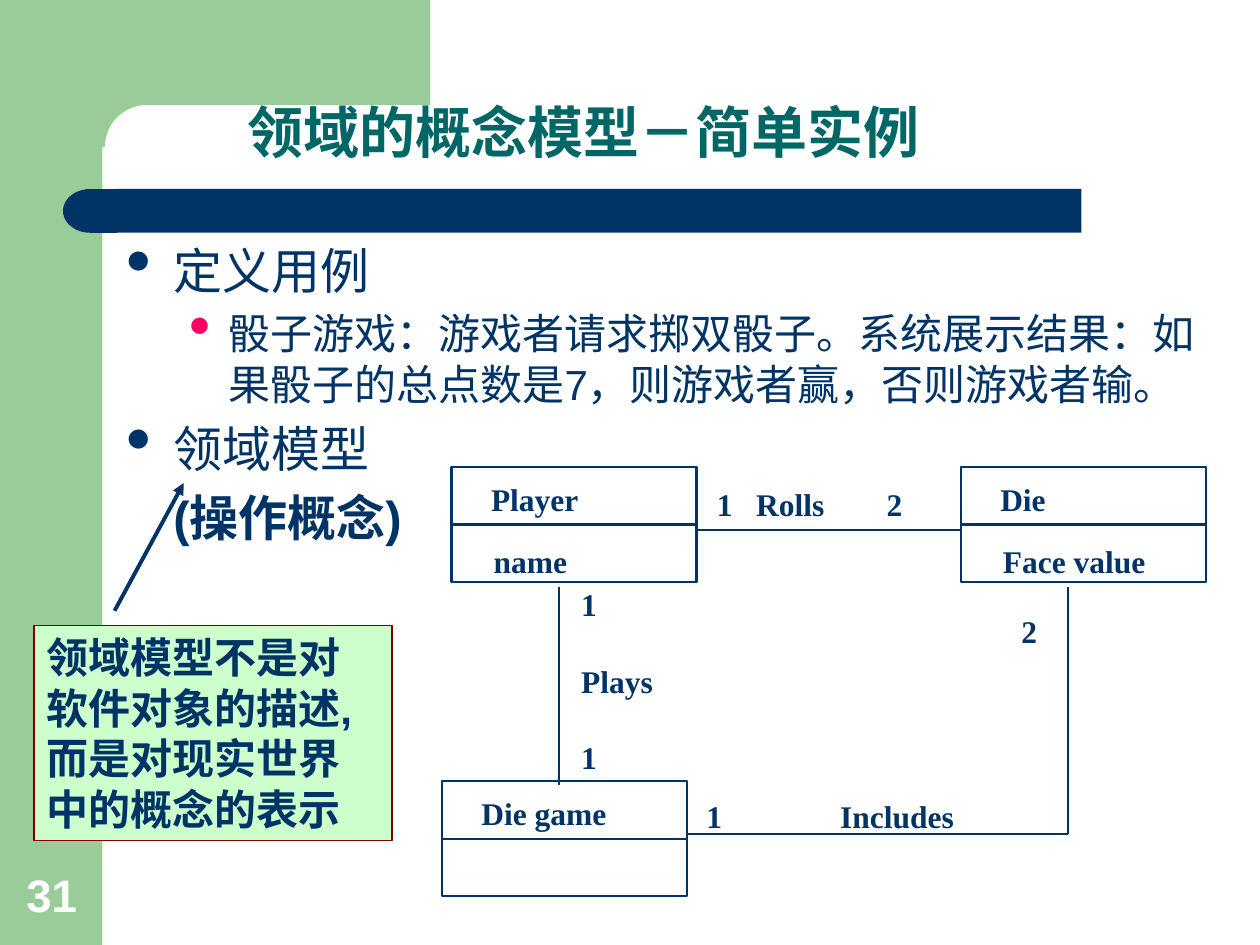
from dataclasses import dataclass

from lxml import etree
from pptx import Presentation
from pptx.dml.color import RGBColor
from pptx.enum.shapes import MSO_CONNECTOR, MSO_SHAPE
from pptx.enum.text import MSO_ANCHOR
from pptx.oxml.ns import qn
from pptx.util import Pt

STRAIGHT = MSO_CONNECTOR.STRAIGHT
RECT, ROUNDED, DELAY = (MSO_SHAPE.RECTANGLE, MSO_SHAPE.ROUNDED_RECTANGLE,
                        MSO_SHAPE.FLOWCHART_DELAY)
TOP, BOTTOM = MSO_ANCHOR.TOP, MSO_ANCHOR.BOTTOM
LEFT_SIDE, RIGHT_SIDE = 1, 3


@dataclass(frozen=True)
class Theme:
    green: str = "99CC99"
    white: str = "FFFFFF"
    navy: str = "003366"
    teal: str = "006666"
    pink: str = "FF0066"
    note_fill: str = "CCFFCC"
    note_line: str = "800000"
    sans: str = "Arial"
    serif: str = "Times New Roman"
    title: float = 32
    level1: float = 28
    level2: float = 24
    number: float = 26
    label: float = 18
    diagram_line: float = 1.25


THEME = Theme()
CLASS_WIDTH, CLASS_HEIGHT = 140, 65.5
LABEL_HEIGHT = 29


def points(*lengths):
    return [Pt(length) for length in lengths]


def add_block(slide, preset, box, fill=None, line=None, weight=THEME.diagram_line):
    block = slide.shapes.add_shape(preset, *points(*box))
    block.shadow.inherit = False
    if fill:
        block.fill.solid()
        block.fill.fore_color.rgb = RGBColor.from_string(fill)
    else:
        block.fill.background()
    if line:
        block.line.color.rgb = RGBColor.from_string(line)
        block.line.width = Pt(weight)
    else:
        block.line.fill.background()
    return block


def add_line(slide, start, end, weight=THEME.diagram_line, arrow=False):
    line = slide.shapes.add_connector(STRAIGHT, *points(*start, *end))
    line.line.color.rgb = RGBColor.from_string(THEME.navy)
    line.line.width = Pt(weight)
    if arrow:
        etree.SubElement(line.line._get_or_add_ln(), qn("a:tailEnd"), type="triangle")
    etree.SubElement(line._element.spPr, qn("a:effectLst"))
    return line


def add_text(frame, text, size, color=THEME.navy, font=THEME.sans, bold=False,
             before=0, spacing=None, indent=0, hanging=0, bullet=None):
    """Write one paragraph, in the frame's first one while that is empty."""
    first = frame.paragraphs[0]
    paragraph = frame.add_paragraph() if first.runs else first
    paragraph.space_before = Pt(before)
    if spacing:
        paragraph.line_spacing = spacing
    properties = paragraph._p.get_or_add_pPr()
    properties.set("algn", "l")
    properties.set("marL", str(Pt(indent)))
    properties.set("indent", str(-Pt(hanging)))
    if bullet:
        bullet_color = etree.SubElement(properties, qn("a:buClr"))
        etree.SubElement(bullet_color, qn("a:srgbClr"), val=bullet)
        etree.SubElement(properties, qn("a:buSzPct"), val="150000")
        etree.SubElement(properties, qn("a:buChar"), char="•")
    run = paragraph.add_run()
    run.text = text
    run.font.name, run.font.size, run.font.bold = font, Pt(size), bold
    run.font.color.rgb = RGBColor.from_string(color)


def add_text_area(slide, box, anchor=TOP):
    frame = slide.shapes.add_textbox(*points(*box)).text_frame
    frame.word_wrap = True
    frame.vertical_anchor = anchor
    return frame


def add_label(slide, left, top, width, *lines, height=LABEL_HEIGHT, gap=0):
    frame = add_text_area(slide, (left, top, width, height))
    for position, line in enumerate(lines):
        add_text(frame, line, THEME.label, font=THEME.serif, bold=True,
                 before=gap if position else 0)


def add_class(slide, left, top, name, attribute=None):
    """Draw a class box: name above the divider, attribute below it."""
    outline = add_block(slide, RECT, (left, top, CLASS_WIDTH, CLASS_HEIGHT),
                        line=THEME.navy)
    middle = top + CLASS_HEIGHT / 2
    divider = add_line(slide, (left, middle), (left + CLASS_WIDTH, middle))
    divider.begin_connect(outline, LEFT_SIDE)
    divider.end_connect(outline, RIGHT_SIDE)
    add_label(slide, left + 15.5, top + 3.5, 110, name)
    if attribute:
        add_label(slide, left + 17, top + 39, 110, attribute)


def add_background(slide):
    add_block(slide, RECT, (0, 0, 58.5, 540), THEME.green)
    add_block(slide, RECT, (52.5, 0, 193.5, 84), THEME.green)
    panel = add_block(slide, ROUNDED, (60, 60, 402, 48), THEME.white)
    panel.adjustments[0] = 0.5
    add_block(slide, RECT, (66, 108, 552, 25), THEME.navy)
    bar_end = add_block(slide, DELAY, (36, 108, 31, 25), THEME.navy)
    bar_end.rotation = 180
    number = add_text_area(slide, (8, 492, 46, 38), BOTTOM)
    add_text(number, "31", THEME.number, THEME.white, bold=True)


def add_body(slide):
    title = add_text_area(slide, (106, 32, 600, 66), BOTTOM)
    add_text(title, "领域的概念模型－简单实例", THEME.title, THEME.teal,
             bold=True, spacing=0.9, indent=28.5)
    body = add_text_area(slide, (65, 134, 641, 293))
    topic = dict(before=5.6, indent=27, hanging=27, bullet=THEME.navy)
    add_text(body, "定义用例", THEME.level1, **topic)
    add_text(body, "骰子游戏：游戏者请求掷双骰子。系统展示结果：如果骰子的总点数是7，"
             "则游戏者赢，否则游戏者输。", THEME.level2,
             before=4.8, indent=58.5, hanging=22.5, bullet=THEME.pink)
    add_text(body, "领域模型", THEME.level1, **topic)
    add_text(body, "(操作概念)", THEME.level1, bold=True, before=5.6, indent=27)


def add_domain_model(slide):
    add_class(slide, 258, 267, "Player", "name")
    add_class(slide, 549, 267, "Die", "Face value")
    add_class(slide, 252.5, 446.5, "Die game")

    add_line(slide, (398, 303), (549, 303))
    for left, width, text in ((402.5, 26, "1"), (425, 65, "Rolls"), (499.5, 26, "2")):
        add_label(slide, left, 273.5, width, text)

    add_line(slide, (319.5, 335.5), (319.5, 448.5))
    add_label(slide, 325, 331, 65, "1", "Plays", "1", height=137, gap=22)

    add_line(slide, (392.5, 476.5), (610.5, 476.5))
    add_line(slide, (610.5, 476.5), (610.5, 335.5))
    for left, top, width, text in ((396.5, 452, 26, "1"), (473, 452, 90, "Includes"),
                                   (576.5, 346, 26, "2")):
        add_label(slide, left, top, width, text)


def add_note(slide):
    note = add_block(slide, RECT, (19.5, 357.5, 204.5, 123), THEME.note_fill,
                     THEME.note_line, 0.75)
    note.text_frame.word_wrap = True
    note.text_frame.vertical_anchor = TOP
    add_text(note.text_frame, "领域模型不是对软件对象的描述,而是对现实世界中的概念的表示",
             THEME.level2, bold=True)
    add_line(slide, (65.5, 349), (105, 276), weight=2.25, arrow=True)


def main():
    deck = Presentation()
    deck.slide_width, deck.slide_height = points(720, 540)
    slide = deck.slides.add_slide(deck.slide_layouts[6])
    add_background(slide)
    add_body(slide)
    add_domain_model(slide)
    add_note(slide)
    deck.save("out.pptx")


if __name__ == "__main__":
    main()
